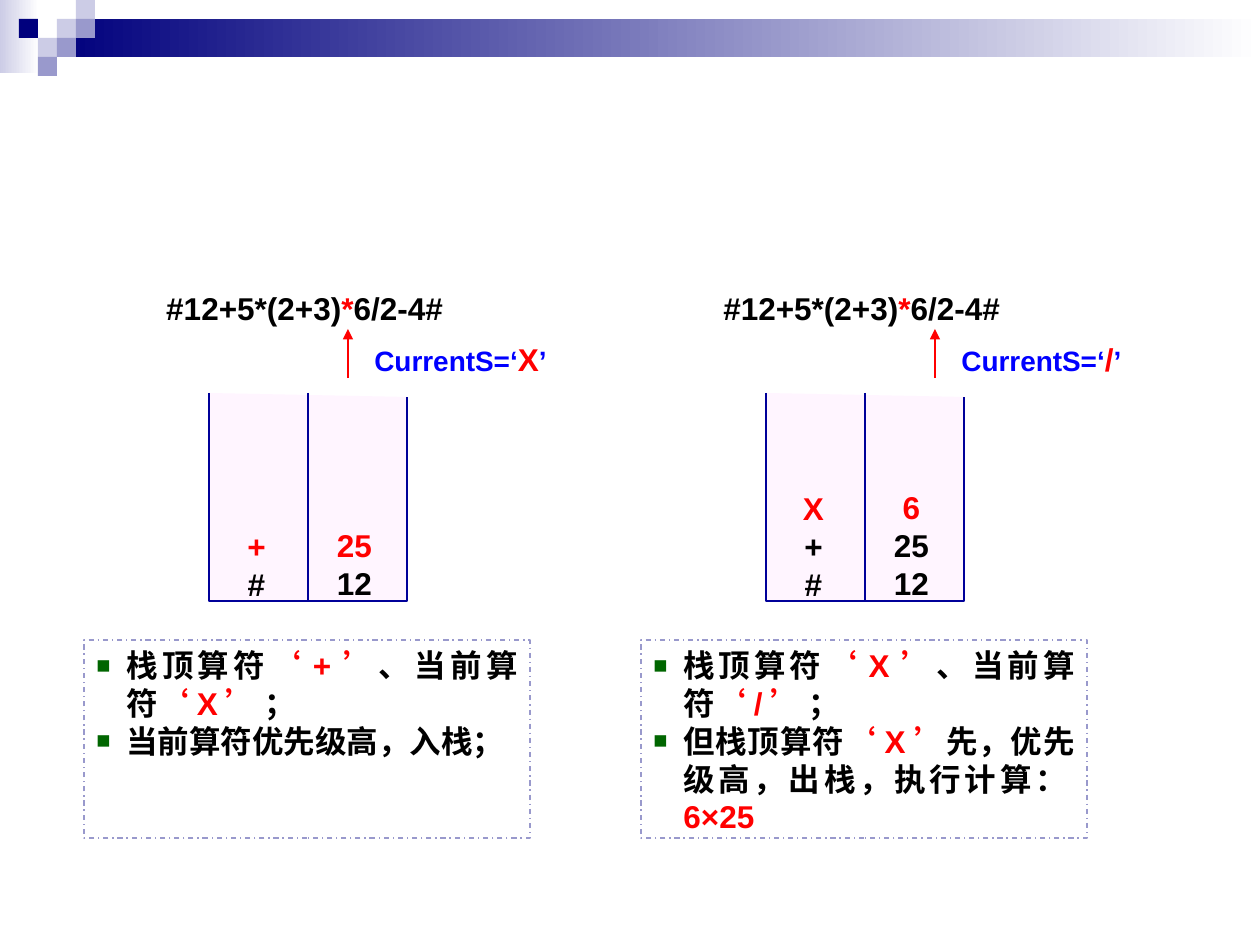
from dataclasses import dataclass

from lxml import etree
from pptx import Presentation
from pptx import util as u
from pptx.dml.color import RGBColor
from pptx.enum import dml, shapes, text
from pptx.oxml.ns import qn

SCALE = u.Inches(1) / 126


@dataclass(frozen=True)
class Theme:
    font: str = "Arial"
    body: int = 18
    label: int = 16
    white: str = "FFFFFF"
    black: str = "000000"
    red: str = "FF0000"
    blue: str = "0000FF"
    navy: str = "00007D"
    pale: str = "CCCCE6"
    lilac: str = "9999CC"
    bullet: str = "006600"
    stack_fill: str = "FFF5FF"
    stack_line: str = "000099"


THEME = Theme()


def px(value):
    return u.Emu(round(value * SCALE))


def rgb(value):
    return RGBColor.from_string(value)


def apply(target, values):
    for name, value in values.items():
        setattr(target, name, value)


def style_line(line, colour, width=0.75):
    line.color.rgb = rgb(colour)
    line.width = u.Pt(width)


def add_box(slide, box, fill=None):
    shape = slide.shapes.add_shape(shapes.MSO_SHAPE.RECTANGLE, *map(px, box))
    shape.shadow.inherit = False
    shape.line.fill.background()
    if fill is None:
        shape.fill.background()
    elif isinstance(fill, tuple):
        shape.fill.gradient()
        shape.fill.gradient_angle = 0
        for stop, colour in zip(shape.fill.gradient_stops, fill):
            stop.color.rgb = rgb(colour)
    else:
        shape.fill.solid()
        shape.fill.fore_color.rgb = rgb(fill)
    return shape


def add_line(slide, start, end, colour, width=0.75, arrow=False):
    connector = slide.shapes.add_connector(
        shapes.MSO_CONNECTOR.STRAIGHT, *map(px, start + end))
    style_line(connector.line, colour, width)
    if arrow:
        etree.SubElement(connector.line._get_or_add_ln(), qn("a:tailEnd"), type="triangle")
    etree.SubElement(connector._element.spPr, qn("a:effectLst"))


def add_bullet(paragraph):
    properties = paragraph._p.get_or_add_pPr()
    properties.set("marL", str(px(30)))
    properties.set("indent", str(-px(30)))
    colour = etree.SubElement(properties, qn("a:buClr"))
    etree.SubElement(colour, qn("a:srgbClr"), val=THEME.bullet)
    etree.SubElement(properties, qn("a:buSzPct"), val="75000")
    etree.SubElement(properties, qn("a:buFont"), typeface=THEME.font)
    etree.SubElement(properties, qn("a:buChar"), char="■")


def write(shape, paragraphs, alignment, bulleted=False, **frame_format):
    frame = shape.text_frame
    apply(frame, {"word_wrap": False, "auto_size": text.MSO_AUTO_SIZE.NONE,
                  "vertical_anchor": text.MSO_ANCHOR.MIDDLE, **frame_format})
    for index, runs in enumerate(paragraphs):
        paragraph = frame.add_paragraph() if index else frame.paragraphs[0]
        paragraph.alignment = alignment
        if bulleted:
            add_bullet(paragraph)
        for content, colour, size in runs:
            run = paragraph.add_run()
            run.text = content
            apply(run.font, {"name": THEME.font, "size": u.Pt(size), "bold": True})
            run.font.color.rgb = rgb(colour)


def black(content):
    return content, THEME.black, THEME.body


def red(content):
    return content, THEME.red, THEME.body


def blue(content):
    return content, THEME.blue, THEME.label


def draw_header(slide, left, top, width):
    cell = 19
    add_box(slide, (left, top, 39, 73), (THEME.pale, THEME.white))
    add_box(slide, (left + 57, top + cell, width - 57, 2 * cell), (THEME.navy, THEME.white))
    squares = [(3, 1, THEME.pale), (4, 0, THEME.pale), (4, 1, THEME.lilac),
               (2, 2, THEME.pale), (1, 1, THEME.navy), (3, 2, THEME.lilac),
               (2, 3, THEME.lilac)]
    for column, row, colour in squares:
        add_box(slide, (left + column * cell, top + row * cell, cell, cell), colour)


def draw_stack(slide, left, top, width, height, operators, operands):
    right, bottom, middle = left + width, top + height, left + width // 2
    builder = slide.shapes.build_freeform(left, top, scale=SCALE)
    builder.add_line_segments([(left, bottom), (right, bottom), (right, top + 4)], close=False)
    outline = builder.convert_to_shape()
    outline.shadow.inherit = False
    outline.fill.solid()
    outline.fill.fore_color.rgb = rgb(THEME.stack_fill)
    style_line(outline.line, THEME.stack_line)
    add_line(slide, (middle, top), (middle, bottom), THEME.stack_line)
    columns = [((left + 18, top + 57, 59, 159), operators),
               ((left + 121, top + 97, 49, 118), operands)]
    for box, entries in columns:
        column = slide.shapes.add_textbox(*map(px, box))
        write(column, [[entry] for entry in entries], text.PP_ALIGN.CENTER,
              vertical_anchor=text.MSO_ANCHOR.BOTTOM)


def draw_note(slide, left, top, width, height, paragraphs):
    note = add_box(slide, (left, top, width, height))
    style_line(note.line, THEME.lilac)
    note.line.dash_style = dml.MSO_LINE.DASH_DOT
    write(note, paragraphs, text.PP_ALIGN.JUSTIFY, bulleted=True,
          word_wrap=True, vertical_anchor=text.MSO_ANCHOR.TOP)


def draw_step(slide, left, top, symbol, pointer, label_width, operators, operands, note):
    draw_stack(slide, left + 125, top + 110, 198, 208, operators, operands)
    draw_note(slide, left, top + 357, 446, 198, note)
    expression = add_box(slide, (left + 56, top, 338, 49), THEME.white)
    write(expression, [[black("#12+5*(2+3)"), red("*"), black("6/2-4# ")]],
          text.PP_ALIGN.CENTER)
    tip = left + pointer
    add_line(slide, (tip, top + 95), (tip, top + 46), THEME.red, 1.5, arrow=True)
    label = slide.shapes.add_textbox(*map(px, (tip + 14, top + 51, label_width, 50)))
    write(label, [[blue("CurrentS=‘"), red(symbol), blue("’")]], text.PP_ALIGN.LEFT,
          auto_size=text.MSO_AUTO_SIZE.SHAPE_TO_FIT_TEXT)


def comparison(stack_top, current):
    return [black("栈顶算符"), red(f"‘{stack_top}’"), black("、当前算符"),
            red(f"‘{current}’ "), black("；")]


def main():
    presentation = Presentation()
    apply(presentation, {"slide_width": px(1260), "slide_height": px(945)})
    slide = presentation.slides.add_slide(presentation.slide_layouts[6])
    draw_header(slide, 0, 0, 1260)
    draw_step(slide, 84, 283, "X", 264, 205,
              [red("+"), black("#")], [red("25"), black("12")],
              [comparison("+", "X"), [black("当前算符优先级高，入栈；")]])
    draw_step(slide, 641, 283, "/", 294, 193,
              [red("X"), black("+"), black("#")], [red("6"), black("25"), black("12")],
              [comparison("X", "/"),
               [black("但栈顶算符"), red("‘X’"),
                black("先，优先级高，出栈，执行计算："), red("6×25")]])
    presentation.save("out.pptx")


if __name__ == "__main__":
    main()
